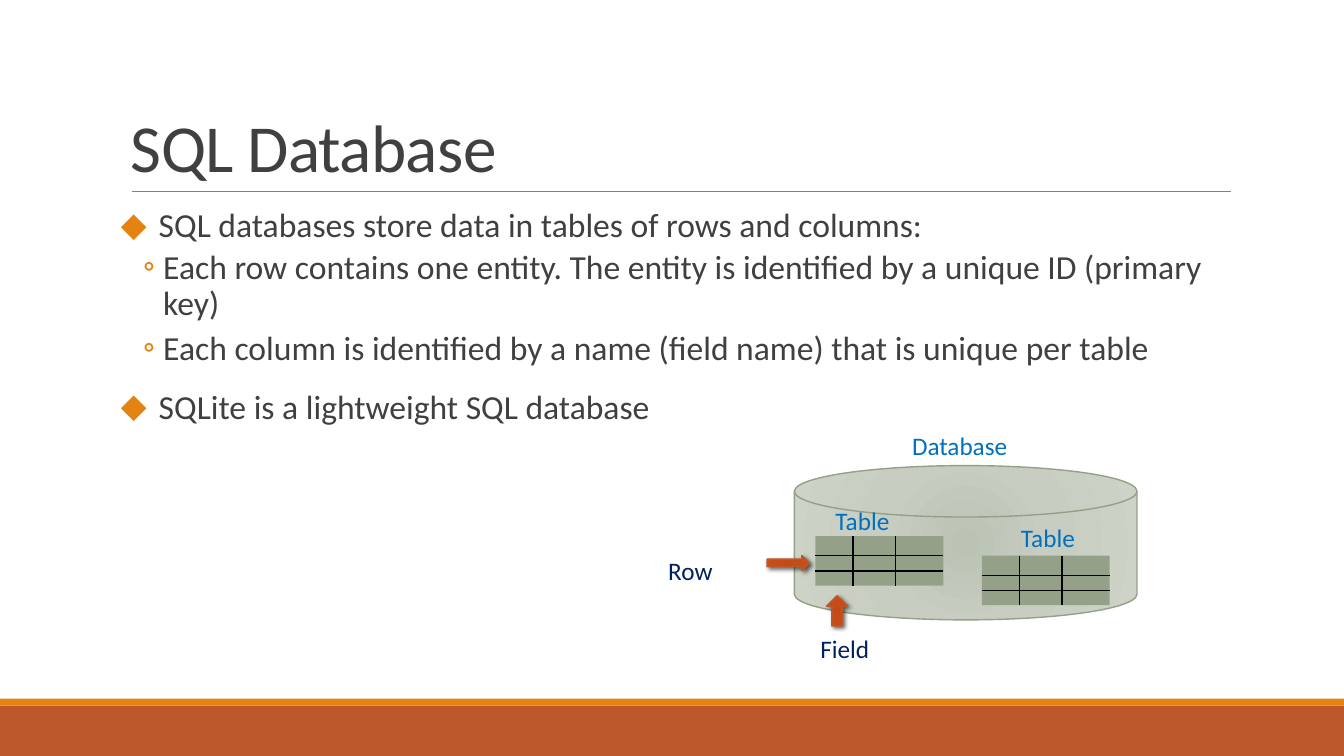
"""Build the slide on SQL databases with a drawing of tables in a store."""
from pptx import Presentation
from pptx.dml.color import RGBColor
from pptx.enum.shapes import MSO_CONNECTOR, MSO_SHAPE
from pptx.enum.text import MSO_ANCHOR
from pptx.oxml import parse_xml
from pptx.oxml.ns import nsdecls
from pptx.util import Pt

RECT = MSO_SHAPE.RECTANGLE
DISK = MSO_SHAPE.FLOWCHART_MAGNETIC_DISK
UP, RIGHT = MSO_SHAPE.UP_ARROW, MSO_SHAPE.RIGHT_ARROW
STRAIGHT = MSO_CONNECTOR.STRAIGHT
TOP, BOTTOM = MSO_ANCHOR.TOP, MSO_ANCHOR.BOTTOM

GREY, ORANGE, RUST, SAGE = "404040", "E48312", "BD582C", "94A088"
BLUE, NAVY = "0070C0", "002060"

TITLE = "SQL Database"
POINTS = [
    (0, "SQL databases store data in tables of rows and columns:"),
    (1, "Each row contains one entity. The entity is identified by a unique ID (primary key)"),
    (1, "Each column is identified by a name (field name) that is unique per table"),
    (0, "SQLite is a lightweight SQL database"),
]
LEVELS = [
    {"left": 27, "hang": -27, "mark": "◆", "before": 12, "after": 2},
    {"left": 30.2, "hang": -14.4, "mark": "◦", "before": 2, "after": 4},
]
BARS = [(504, 36, RUST), (499, 5, ORANGE)]
LABELS = [
    ("Database", 644.4, 303.8, 83.5, BLUE),
    ("Table", 589.7, 357.1, 53.3, BLUE),
    ("Table", 722.2, 369.4, 53.3, BLUE),
    ("Row", 470.2, 393.1, 46.8, NAVY),
    ("Field", 578.9, 448.6, 49.7, NAVY),
]
GRIDS = [(582.5, 383), (701.3, 396.9)]
GRID_W, GRID_H = 91.4, 35.4
COLS, ROWS = (26.8, 57.3), (14, 24.8)
ARROWS = [(UP, (590.4, 425.5, 15.1, 21.6)), (RIGHT, (547.9, 396.7, 30.2, 10.8))]
DISK_FADE = [(0, "BBC3B5"), (45, "C7CDC1"), (100, "CDD4C7")]
ARROW_FADE = [(0, "C44A15"), (34, "C34C18"), (70, "C94C15"), (100, "C45525")]

deck = Presentation()
deck.slide_width, deck.slide_height = Pt(960), Pt(540)
slide = deck.slides.add_slide(deck.slide_layouts[6])
shapes = slide.shapes


def paint(target, color):
    """Set a solid colour on a fill or a font colour."""
    if hasattr(target, "solid"):
        target.solid()
        target = target.fore_color
    target.rgb = RGBColor.from_string(color)


def apply(target, values):
    """Set attributes from a dict."""
    for name, value in values.items():
        setattr(target, name, value)


def block(kind, box, color, edge=None):
    """Add a filled shape with an optional outline."""
    shape = shapes.add_shape(kind, *map(Pt, box))
    shape.shadow.inherit = False
    paint(shape.fill, color)
    if edge:
        paint(shape.line.fill, edge)
        shape.line.width = Pt(1)
    else:
        shape.line.fill.background()
    return shape


def fade(shape, stops):
    """Swap the solid fill for a radial gradient."""
    marks = "".join(f'<a:gs pos="{pos * 1000}"><a:srgbClr val="{color}"/></a:gs>'
                    for pos, color in stops)
    props = shape.element.spPr
    solid = props.find("{*}solidFill")
    props.replace(solid, parse_xml(
        f'<a:gradFill {nsdecls("a")} rotWithShape="1"><a:gsLst>{marks}</a:gsLst>'
        '<a:path path="circle"><a:fillToRect l="100000" t="100000" r="100000" b="100000"/>'
        '</a:path></a:gradFill>'))


def shade(shape):
    """Give a shape a soft shadow."""
    shape.element.spPr.find("{*}effectLst").append(parse_xml(
        f'<a:outerShdw {nsdecls("a")} blurRad="{Pt(3)}" dist="{Pt(2)}" dir="2700000" '
        'rotWithShape="0"><a:srgbClr val="000000"><a:alpha val="60000"/></a:srgbClr>'
        '</a:outerShdw>'))


def rule(ends, color, width):
    """Add a straight line."""
    line = shapes.add_connector(STRAIGHT, *map(Pt, ends))
    paint(line.line.fill, color)
    line.line.width = Pt(width)
    line.element.spPr.append(parse_xml(f'<a:effectLst {nsdecls("a")}/>'))


def frame(box, **values):
    """Add a text box and return its frame."""
    text = shapes.add_textbox(*map(Pt, box)).text_frame
    apply(text, {"word_wrap": True, "vertical_anchor": TOP, **values})
    return text


def write(para, words, size, color):
    """Add a run of text to a paragraph."""
    run = para.add_run()
    run.text = words
    apply(run.font, {"size": Pt(size), "name": "Calibri"})
    paint(run.font.color, color)
    return run


def bullet(para, level):
    """Set indents, spacing and bullet for a level."""
    form = LEVELS[level]
    apply(para, {"level": level, "line_spacing": 0.9,
                 "space_before": Pt(form["before"]), "space_after": Pt(form["after"])})
    props = para._p.get_or_add_pPr()
    props.set("marL", str(Pt(form["left"])))
    props.set("indent", str(Pt(form["hang"])))
    for tag in (f'<a:buClr {nsdecls("a")}><a:srgbClr val="{ORANGE}"/></a:buClr>',
                f'<a:buFont {nsdecls("a")} typeface="Calibri"/>',
                f'<a:buChar {nsdecls("a")} char="{form["mark"]}"/>'):
        props.append(parse_xml(tag))


def grid(left, top):
    """Draw a small table of three rows and columns."""
    block(RECT, (left, top, GRID_W, GRID_H), SAGE)
    for row in ROWS:
        rule((left, top + row, left + GRID_W, top + row), "000000", 1)
    for col in COLS:
        rule((left + col, top, left + col, top + GRID_H), "000000", 1)


for top, high, color in BARS:
    block(RECT, (0, top, 960, high), color)
rule((94.3, 136.8, 879.1, 136.8), "808080", 0.5)

head = frame((86.4, 22.3, 792, 114.5), vertical_anchor=BOTTOM).paragraphs[0]
head.line_spacing = 0.85
write(head, TITLE, 48, GREY).font._element.set("spc", "-50")

body = frame((86.4, 145.4, 792, 316.8), margin_left=0, margin_right=0)
for num, (level, words) in enumerate(POINTS):
    para = body.add_paragraph() if num else body.paragraphs[0]
    bullet(para, level)
    write(para, words, 24, GREY)

fade(block(DISK, (567.4, 332.6, 244.8, 110.2), SAGE, SAGE), DISK_FADE)
for spot in GRIDS:
    grid(*spot)
for kind, box in ARROWS:
    arrow = block(kind, box, RUST, RUST)
    fade(arrow, ARROW_FADE)
    shade(arrow)
for words, left, top, wide, color in LABELS:
    label = frame((left, top, wide, 29), word_wrap=False)
    write(label.paragraphs[0], words, 18, color)

deck.save("out.pptx")
